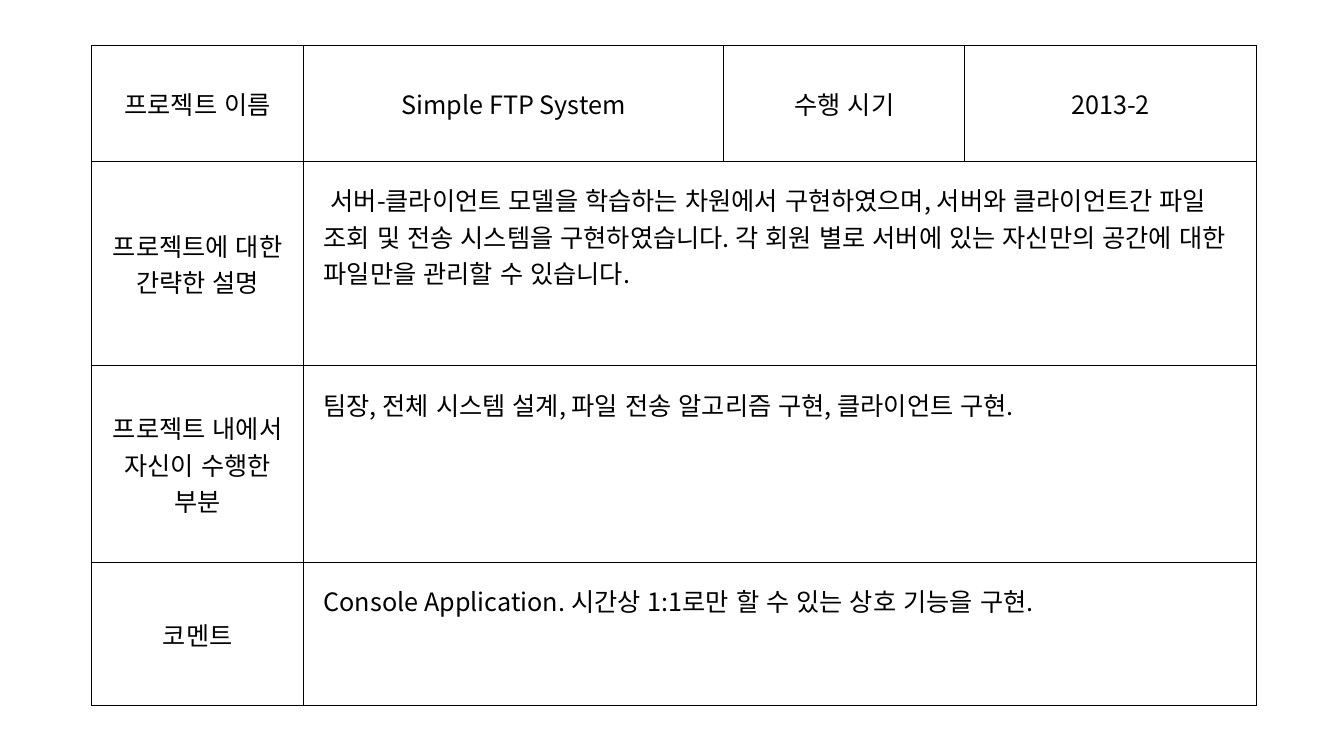
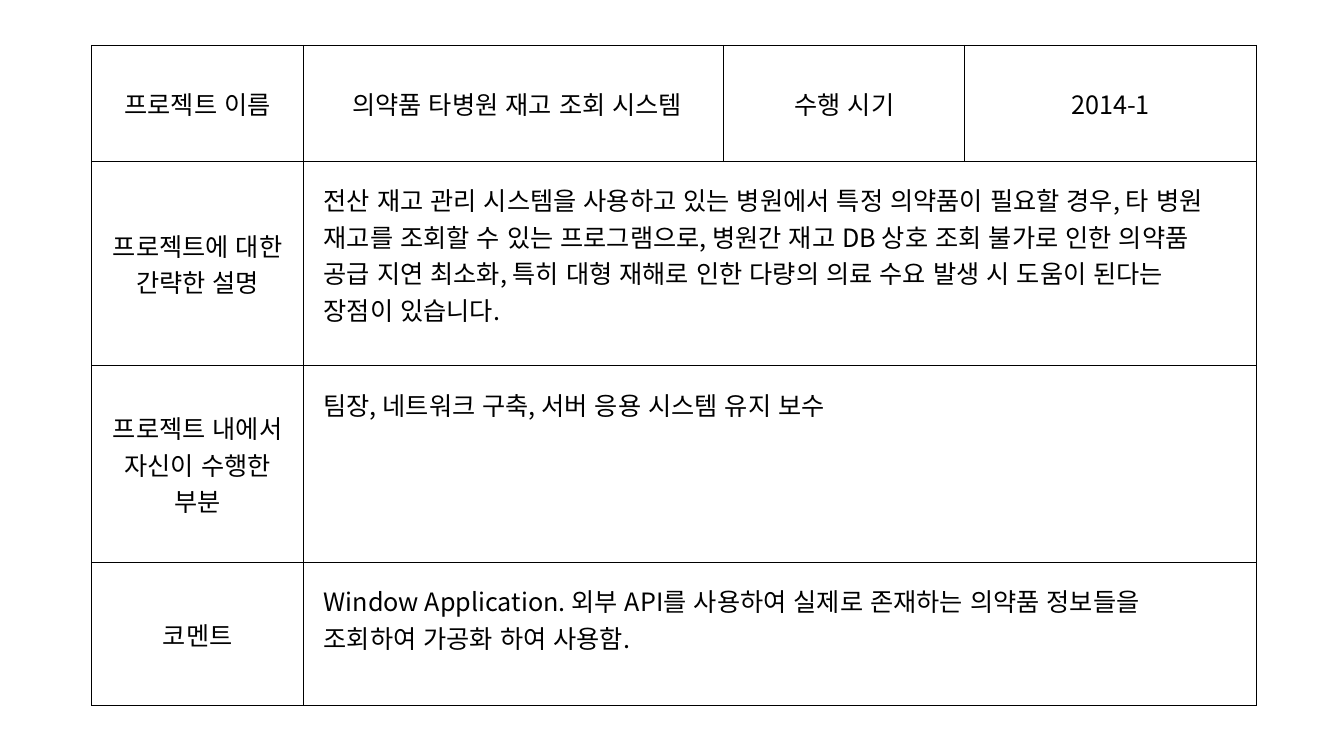
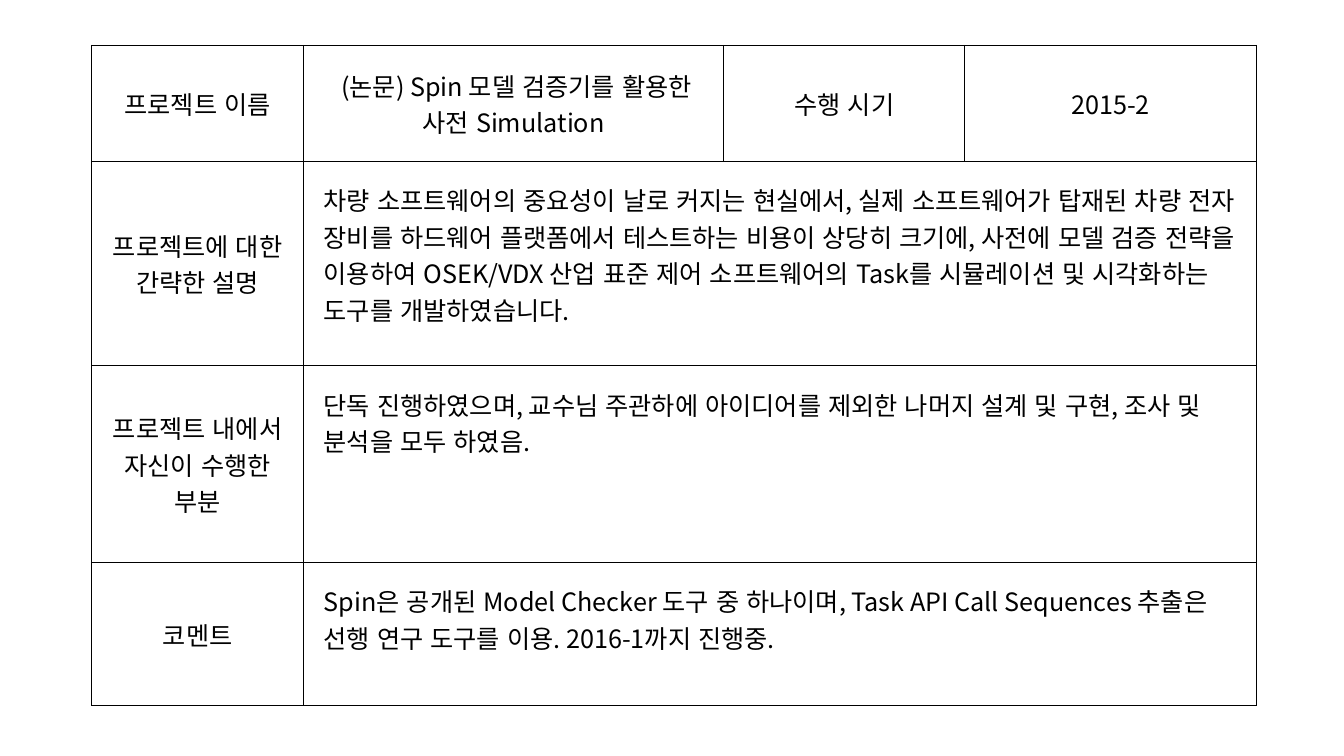
import pptx
import pptx.util
import pptx.dml.color
import pptx.enum.lang
import pptx.enum.text
import pptx.oxml
import pptx.oxml.ns

PX = 9144  # one px is a hundredth of an inch
COLORS = {"paper": "FFFFFF", "ink": "000000"}
FONT = "Noto Sans CJK KR"
TABLE_LEFT, TABLE_TOP = 91, 45
COLUMN_WIDTHS = [210, 417, 239, 289]
ROW_HEIGHTS = [115, 203, 195, 142]

FONT_FORMAT = {
    "size": pptx.util.Pt(18),
    "name": FONT,
    "language_id": pptx.enum.lang.MSO_LANGUAGE_ID.KOREAN,
}
LABEL_FORMAT = {"vertical_anchor": pptx.enum.text.MSO_ANCHOR.MIDDLE}
ANSWER_FORMAT = {
    "vertical_anchor": pptx.enum.text.MSO_ANCHOR.TOP,
    "margin_left": 20 * PX,
    "margin_right": 20 * PX,
    "margin_top": 20 * PX,
    "margin_bottom": 20 * PX,
}

# Row labels shared by every project
NAME_LABEL, PERIOD_LABEL = "프로젝트 이름", "수행 시기"
ANSWER_LABELS = ["프로젝트에 대한 간략한 설명", "프로젝트 내에서 자신이 수행한 부분", "코멘트"]

# Name, period, then the summary, own part and comment
PROJECTS = [
    ("Simple FTP System", "2013-2", [
        " 서버-클라이언트 모델을 학습하는 차원에서 구현하였으며, 서버와 클라이언트간 파일 조회 및 "
        "전송 시스템을 구현하였습니다. 각 회원 별로 서버에 있는 자신만의 공간에 대한 파일만을 "
        "관리할 수 있습니다.",
        "팀장, 전체 시스템 설계, 파일 전송 알고리즘 구현, 클라이언트 구현.",
        "Console Application. 시간상 1:1로만 할 수 있는 상호 기능을 구현.",
    ]),
    (" 의약품 타병원 재고 조회 시스템", "2014-1", [
        "전산 재고 관리 시스템을 사용하고 있는 병원에서 특정 의약품이 필요할 경우, 타 병원 재고를 "
        "조회할 수 있는 프로그램으로, 병원간 재고 DB 상호 조회 불가로 인한 의약품 공급 지연 최소화, "
        "특히 대형 재해로 인한 다량의 의료 수요 발생 시 도움이 된다는 장점이 있습니다.",
        "팀장, 네트워크 구축, 서버 응용 시스템 유지 보수",
        "Window Application. 외부 API를 사용하여 실제로 존재하는 의약품 정보들을 조회하여 "
        "가공화 하여 사용함.",
    ]),
    (" (논문) Spin 모델 검증기를 활용한 사전 Simulation", "2015-2", [
        "차량 소프트웨어의 중요성이 날로 커지는 현실에서, 실제 소프트웨어가 탑재된 차량 전자 장비를 "
        "하드웨어 플랫폼에서 테스트하는 비용이 상당히 크기에, 사전에 모델 검증 전략을 이용하여 "
        "OSEK/VDX 산업 표준 제어 소프트웨어의 Task를 시뮬레이션 및 시각화하는 도구를 개발하였습니다.",
        "단독 진행하였으며, 교수님 주관하에 아이디어를 제외한 나머지 설계 및 구현, 조사 및 분석을 "
        "모두 하였음.",
        "Spin은 공개된 Model Checker 도구 중 하나이며, Task API Call Sequences 추출은 "
        "선행 연구 도구를 이용. 2016-1까지 진행중.",
    ]),
]


def draw_borders(cell):
    properties = cell._tc.get_or_add_tcPr()
    for side in ("lnL", "lnR", "lnT", "lnB"):
        properties.append(pptx.oxml.parse_xml(
            f'<a:{side} {pptx.oxml.ns.nsdecls("a")} w="{pptx.util.Pt(1)}"><a:solidFill>'
            f'<a:srgbClr val="{COLORS["ink"]}"/></a:solidFill></a:{side}>'))


def write_cell(cell, text, cell_format, alignment):
    for key, value in cell_format.items():
        setattr(cell, key, value)
    paragraph = cell.text_frame.paragraphs[0]
    paragraph.alignment = alignment
    run = paragraph.add_run()
    run.text = text
    for key, value in FONT_FORMAT.items():
        setattr(run.font, key, value)
    run.font.color.rgb = pptx.dml.color.RGBColor.from_string(COLORS["ink"])
    run._r.get_or_add_rPr().append(pptx.oxml.parse_xml(
        f'<a:ea {pptx.oxml.ns.nsdecls("a")} typeface="{FONT}"/>'))


deck = pptx.Presentation()
deck.slide_width, deck.slide_height = 1333 * PX, 750 * PX
CENTER, LEFT = pptx.enum.text.PP_ALIGN.CENTER, pptx.enum.text.PP_ALIGN.LEFT

for name, period, answers in PROJECTS:
    slide = deck.slides.add_slide(deck.slide_layouts[6])

    # Grid
    project = slide.shapes.add_table(
        len(ROW_HEIGHTS), len(COLUMN_WIDTHS), TABLE_LEFT * PX, TABLE_TOP * PX,
        sum(COLUMN_WIDTHS) * PX, sum(ROW_HEIGHTS) * PX).table
    project.first_row = project.horz_banding = False
    for column, width in zip(project.columns, COLUMN_WIDTHS):
        column.width = width * PX
    for row, height in zip(project.rows, ROW_HEIGHTS):
        row.height = height * PX
    for cell in project.iter_cells():
        draw_borders(cell)
        cell.fill.solid()
        cell.fill.fore_color.rgb = pptx.dml.color.RGBColor.from_string(COLORS["paper"])

    # Name and period
    for column, text in enumerate([NAME_LABEL, name, PERIOD_LABEL, period]):
        write_cell(project.cell(0, column), text, LABEL_FORMAT, CENTER)

    # Summary, own part and comment
    for row, (label, answer) in enumerate(zip(ANSWER_LABELS, answers), start=1):
        project.cell(row, 1).merge(project.cell(row, len(COLUMN_WIDTHS) - 1))
        write_cell(project.cell(row, 0), label, LABEL_FORMAT, CENTER)
        write_cell(project.cell(row, 1), answer, ANSWER_FORMAT, LEFT)

deck.save("out.pptx")
